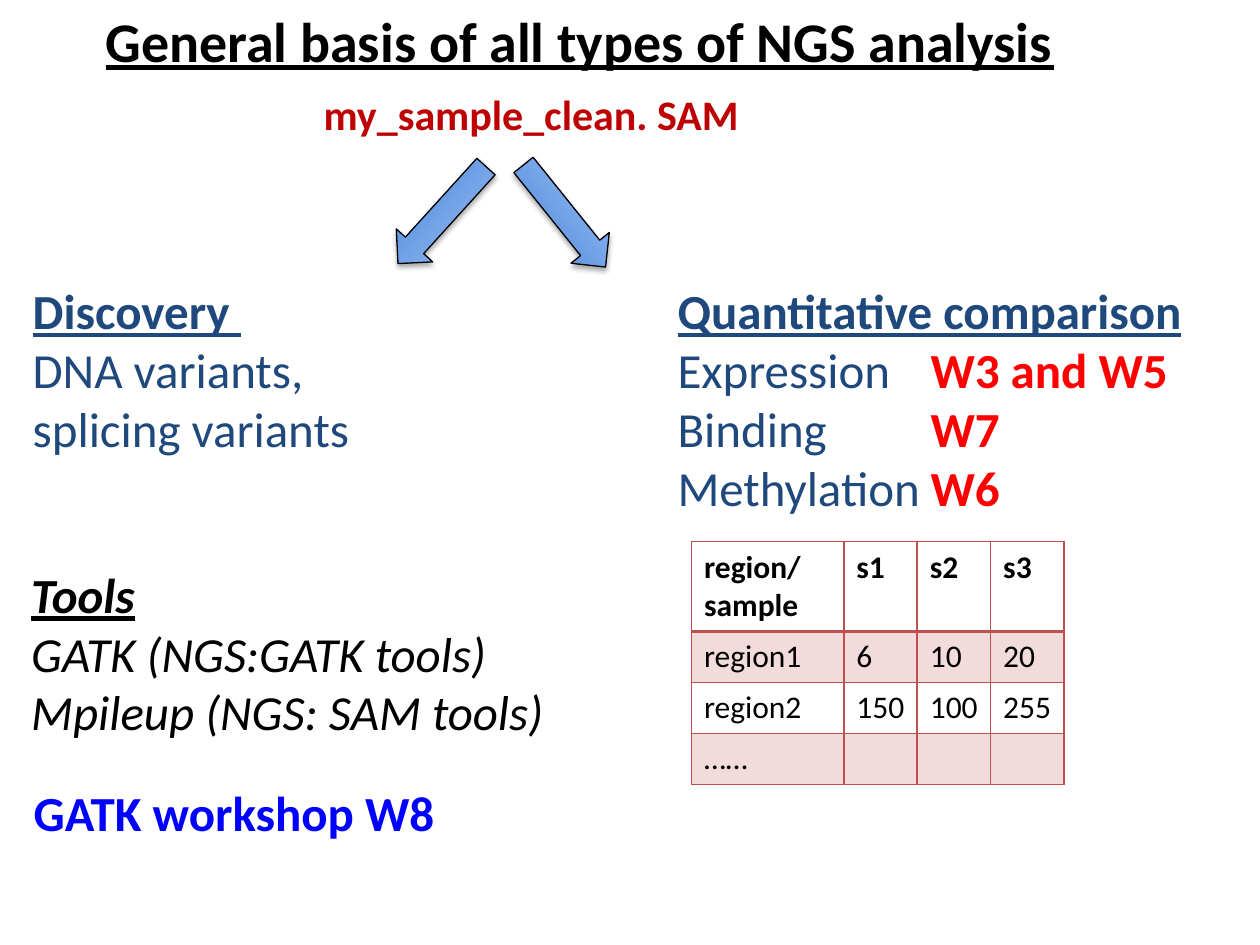
from lxml import etree
from pptx import Presentation
from pptx.dml.color import RGBColor
from pptx.enum.shapes import MSO_SHAPE
from pptx.enum.text import MSO_ANCHOR, PP_ALIGN
from pptx.oxml.ns import qn
from pptx.util import Cm, Pt

RIGHT_ARROW = MSO_SHAPE.RIGHT_ARROW
MIDDLE, TOP = MSO_ANCHOR.MIDDLE, MSO_ANCHOR.TOP
CENTER, LEFT = PP_ALIGN.CENTER, PP_ALIGN.LEFT

THEME = {
    "font": "Calibri",
    "black": "000000",
    "line": "C0504D",
    "band": "F2DCDB",
    "arrow": ("3F80CE", "A4C4FF"),
    "styles": {
        "title": dict(size=32, color="000000", bold=True, underline=True),
        "sample": dict(size=24, color="BE0204", bold=True),
        "heading": dict(size=28, color="1F497D", bold=True, underline=True),
        "body": dict(size=28, color="1F497D"),
        "workshop": dict(size=28, color="FF0000", bold=True),
        "tools": dict(size=28, color="000000", bold=True, italic=True, underline=True),
        "tool": dict(size=28, color="000000", italic=True),
        "gatk": dict(size=28, color="0000FF", bold=True),
        "header": dict(size=18, color="000000", bold=True),
        "cell": dict(size=18, color="000000"),
    },
}

TITLE = [[("General basis of all types of NGS analysis", "title")]]
TITLE_BOX = (-0.05, 0, 23.47, 1.6)
WORKSHOP_TAB = 5.1

TEXTS = [
    ((3.61, 1.65, 14.2, 1.27), CENTER, [[("my_sample_clean. SAM", "sample")]]),
    ((0.41, 5.54, 6.96, 3.84), LEFT, [
        [("Discovery ", "heading")],
        [("DNA variants,", "body")],
        [("splicing variants", "body")],
    ]),
    ((13.41, 5.54, 10.8, 5.05), LEFT, [
        [("Quantitative comparison", "heading")],
        [("Expression\t", "body"), ("W3 and W5", "workshop")],
        [("Binding\t", "body"), ("W7", "workshop")],
        [("Methylation\t", "body"), ("W6", "workshop")],
    ]),
    ((0.38, 11.25, 11.43, 3.84), LEFT, [
        [("Tools", "tools")],
        [("GATK (NGS:GATK tools)", "tool")],
        [("Mpileup (NGS: SAM tools)", "tool")],
    ]),
    ((0.43, 15.65, 9.07, 1.45), LEFT, [[("GATK workshop W8", "gatk")]]),
]

ARROWS = [((7.59, 3.84, 2.64, 0.99), 132.2), ((10.06, 3.86, 2.64, 0.99), 51.2)]

COUNTS = [
    ("region/sample", "s1", "s2", "s3"),
    ("region1", "6", "10", "20"),
    ("region2", "150", "100", "255"),
    ("……", "", "", ""),
]
COUNTS_AT = (13.94, 10.92)
COLUMN_WIDTHS = (3.07, 1.48, 1.48, 1.48)
ROW_HEIGHTS = (1.8, 1.03, 1.03, 1.03)
CELL_RIGHT_MARGIN = 0.15


def rgb(code):
    return RGBColor.from_string(code)


def lengths(values):
    return [Cm(value) for value in values]


def add_run(paragraph, text, style_name):
    style = THEME["styles"][style_name]
    run = paragraph.add_run()
    run.text = text
    font = run.font
    font.name = THEME["font"]
    font.size = Pt(style["size"])
    font.color.rgb = rgb(style["color"])
    font.bold = style.get("bold", False)
    font.italic = style.get("italic", False)
    font.underline = style.get("underline", False)


def add_tab(paragraph, position):
    tabs = etree.SubElement(paragraph._p.get_or_add_pPr(), qn("a:tabLst"))
    etree.SubElement(tabs, qn("a:tab"), pos=str(Cm(position)), algn="l")


def write(frame, lines, align, anchor):
    frame.word_wrap = True
    frame.vertical_anchor = anchor
    for index, line in enumerate(lines):
        paragraph = frame.add_paragraph() if index else frame.paragraphs[0]
        paragraph.alignment = align
        if any("\t" in text for text, _ in line):
            add_tab(paragraph, WORKSHOP_TAB)
        for text, style_name in line:
            add_run(paragraph, text, style_name)


def add_arrow(slide, box, rotation):
    arrow = slide.shapes.add_shape(RIGHT_ARROW, *lengths(box))
    arrow.rotation = rotation
    arrow.fill.gradient()
    arrow.fill.gradient_angle = 90
    for stop, color, position in zip(arrow.fill.gradient_stops, THEME["arrow"], (0, 1)):
        stop.color.rgb = rgb(color)
        stop.position = position
    arrow.line.color.rgb = rgb(THEME["black"])
    arrow.line.width = Pt(0.75)
    arrow.shadow.inherit = False
    effects = arrow._element.spPr.find(qn("a:effectLst"))
    shadow = etree.SubElement(effects, qn("a:outerShdw"), blurRad=str(Pt(3.1)),
                              dist=str(Pt(1.8)), dir="5400000", rotWithShape="0")
    color = etree.SubElement(shadow, qn("a:srgbClr"), val=THEME["black"])
    etree.SubElement(color, qn("a:alpha"), val="35000")


def add_border(cell, side, width):
    line = etree.SubElement(cell._tc.get_or_add_tcPr(), qn("a:ln" + side), w=str(Pt(width)))
    fill = etree.SubElement(line, qn("a:solidFill"))
    etree.SubElement(fill, qn("a:srgbClr"), val=THEME["line"])


def add_counts(slide):
    size = lengths((sum(COLUMN_WIDTHS), sum(ROW_HEIGHTS)))
    table = slide.shapes.add_table(len(COUNTS), len(COLUMN_WIDTHS),
                                   *lengths(COUNTS_AT), *size).table
    for column, width in zip(table.columns, COLUMN_WIDTHS):
        column.width = Cm(width)
    for row, height in zip(table.rows, ROW_HEIGHTS):
        row.height = Cm(height)
    for r, values in enumerate(COUNTS):
        for c, value in enumerate(values):
            cell = table.cell(r, c)
            cell.margin_right = Cm(CELL_RIGHT_MARGIN)
            if value:
                add_run(cell.text_frame.paragraphs[0], value, "cell" if r else "header")
            widths = {"L": 1, "R": 1, "T": 2 if r == 1 else 1, "B": 1 if r else 2}
            for side, width in widths.items():
                add_border(cell, side, width)
            if r % 2:
                cell.fill.solid()
                cell.fill.fore_color.rgb = rgb(THEME["band"])
            else:
                cell.fill.background()


def main():
    deck = Presentation()
    deck.slide_width, deck.slide_height = Cm(25.4), Cm(19.05)
    slide = deck.slides.add_slide(deck.slide_layouts[5])
    title = slide.shapes.title
    title.left, title.top, title.width, title.height = lengths(TITLE_BOX)
    write(title.text_frame, TITLE, CENTER, MIDDLE)
    add_counts(slide)
    for box, align, lines in TEXTS:
        write(slide.shapes.add_textbox(*lengths(box)).text_frame, lines, align, TOP)
    for box, rotation in ARROWS:
        add_arrow(slide, box, rotation)
    deck.save("out.pptx")


if __name__ == "__main__":
    main()
